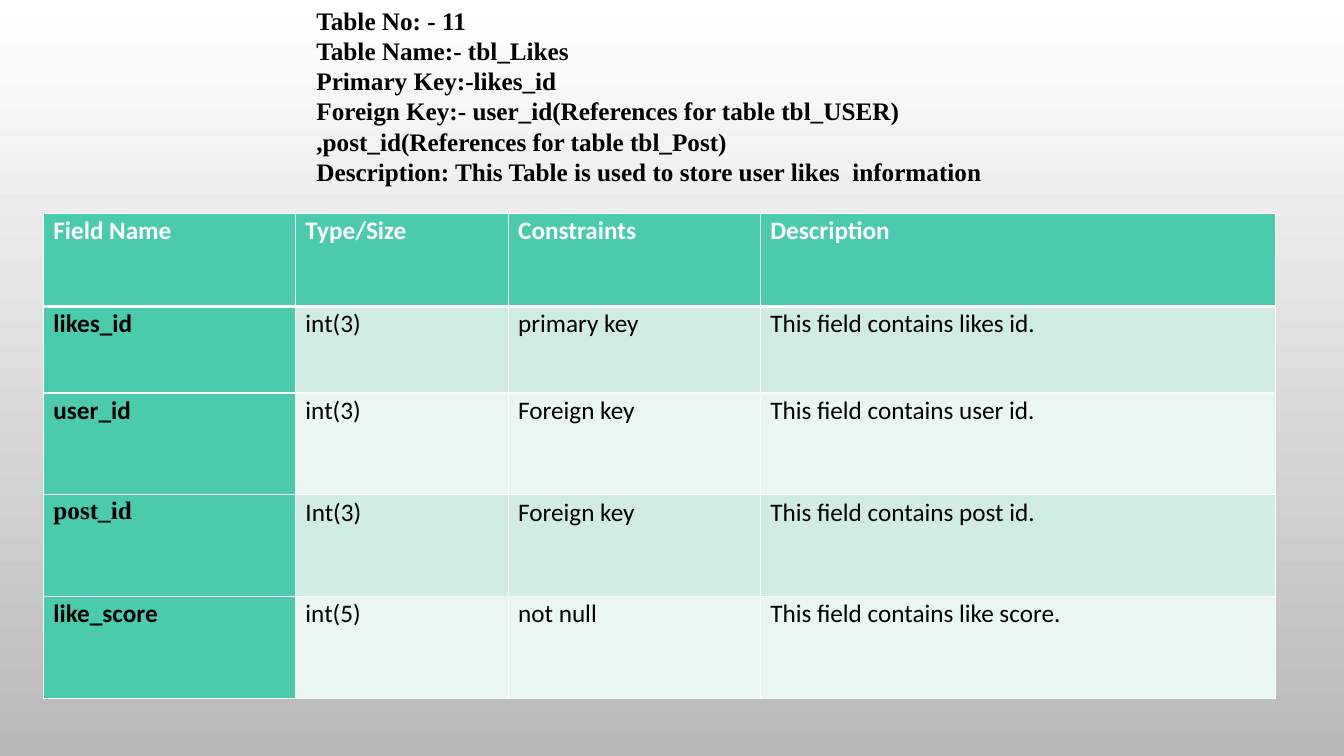
from dataclasses import dataclass

from lxml import etree
from pptx import Presentation
from pptx.dml.color import RGBColor
from pptx.enum.text import MSO_ANCHOR, PP_ALIGN
from pptx.oxml.ns import qn
from pptx.slide import Slide
from pptx.table import _Cell
from pptx.text.text import _Paragraph
from pptx.util import Inches, Pt

JUSTIFY = PP_ALIGN.JUSTIFY
TOP = MSO_ANCHOR.TOP

SANS = "Calibri"
SERIF = "Times New Roman"
BLACK = "000000"
WHITE = "FFFFFF"
GRAY = "B9B9B9"
TEAL = "4BCAAD"
BANDS = ("D0ECE3", "E9F6F1")

HEADING_LINES = (
    "Table No: - 11",
    "Table Name:- tbl_Likes",
    "Primary Key:-likes_id",
    "Foreign Key:- user_id(References for table tbl_USER)",
    ",post_id(References for table tbl_Post)",
    "Description: This Table is used to store user likes  information",
)
COLUMN_TITLES = ("Field Name", "Type/Size", "Constraints", "Description")
COLUMN_WIDTHS = (2.5, 2.11, 2.5, 5.11)
ROW_HEIGHTS = (0.92, 0.86, 1.01, 1.01, 1.01)


@dataclass(frozen=True)
class Field:
    name: str
    size: str
    constraint: str
    description: str
    name_font: str = SANS


FIELDS = (
    Field("likes_id", "int(3)", "primary key", "This field contains likes id."),
    Field("user_id", "int(3)", "Foreign key", "This field contains user id."),
    Field("post_id", "Int(3)", "Foreign key", "This field contains post id.", SERIF),
    Field("like_score", "int(5)", "not null", "This field contains like score."),
)


def rgb(color: str) -> RGBColor:
    return RGBColor.from_string(color)


def format_runs(paragraph: _Paragraph, font: str, color: str, bold: bool) -> None:
    for run in paragraph.runs:
        run.font.name = font
        run.font.size = Pt(18)
        run.font.bold = bold
        run.font.color.rgb = rgb(color)


def set_borders(cell: _Cell, top: float, bottom: float) -> None:
    properties = cell._tc.get_or_add_tcPr()
    widths = {"a:lnL": 1, "a:lnR": 1, "a:lnT": top, "a:lnB": bottom}
    for position, (tag, width) in enumerate(widths.items()):
        line = etree.Element(qn(tag), w=str(Pt(width)))
        fill = etree.SubElement(line, qn("a:solidFill"))
        etree.SubElement(fill, qn("a:srgbClr"), val=WHITE)
        properties.insert(position, line)


def fill_cell(cell: _Cell, text: str, fill: str, font: str, color: str, bold: bool) -> None:
    cell.fill.solid()
    cell.fill.fore_color.rgb = rgb(fill)
    cell.margin_left = cell.margin_right = Inches(0.1)
    cell.margin_top = cell.margin_bottom = 0
    cell.vertical_anchor = TOP
    cell.text_frame.text = text
    paragraph = cell.text_frame.paragraphs[0]
    paragraph.line_spacing = 1.07
    paragraph.space_after = Pt(8)
    format_runs(paragraph, font, color, bold)


def set_background(slide: Slide) -> None:
    fill = slide.background.fill
    fill.gradient()
    fill.gradient_angle = 270
    for stop, color, position in zip(fill.gradient_stops, (WHITE, GRAY), (0, 1)):
        stop.color.rgb = rgb(color)
        stop.position = position


def add_heading(slide: Slide) -> None:
    box = slide.shapes.add_textbox(Inches(3.04), 0, Inches(8.03), Inches(2.22))
    frame = box.text_frame
    frame.word_wrap = True
    frame.text = "\n".join(HEADING_LINES)
    for paragraph in frame.paragraphs:
        paragraph.alignment = JUSTIFY
        format_runs(paragraph, SERIF, BLACK, True)


def add_field_table(slide: Slide) -> None:
    frame = slide.shapes.add_table(
        len(ROW_HEIGHTS), len(COLUMN_WIDTHS), Inches(0.43), Inches(2.12),
        Inches(sum(COLUMN_WIDTHS)), Inches(sum(ROW_HEIGHTS)),
    )
    table = frame.table
    for column, width in zip(table.columns, COLUMN_WIDTHS):
        column.width = Inches(width)
    for row, height in zip(table.rows, ROW_HEIGHTS):
        row.height = Inches(height)

    for column, title in enumerate(COLUMN_TITLES):
        cell = table.cell(0, column)
        fill_cell(cell, title, TEAL, SANS, WHITE, True)
        set_borders(cell, 1, 3)

    for row, field in enumerate(FIELDS, start=1):
        band = BANDS[(row - 1) % len(BANDS)]
        fill_cell(table.cell(row, 0), field.name, TEAL, field.name_font, BLACK, True)
        details = (field.size, field.constraint, field.description)
        for column, text in enumerate(details, start=1):
            fill_cell(table.cell(row, column), text, band, SANS, BLACK, False)
        for cell in table.rows[row].cells:
            set_borders(cell, 3 if row == 1 else 1, 1)


def main() -> None:
    presentation = Presentation()
    presentation.slide_width = Inches(13.33)
    presentation.slide_height = Inches(7.5)
    slide = presentation.slides.add_slide(presentation.slide_layouts[6])
    set_background(slide)
    add_heading(slide)
    add_field_table(slide)
    presentation.save("out.pptx")


if __name__ == "__main__":
    main()
